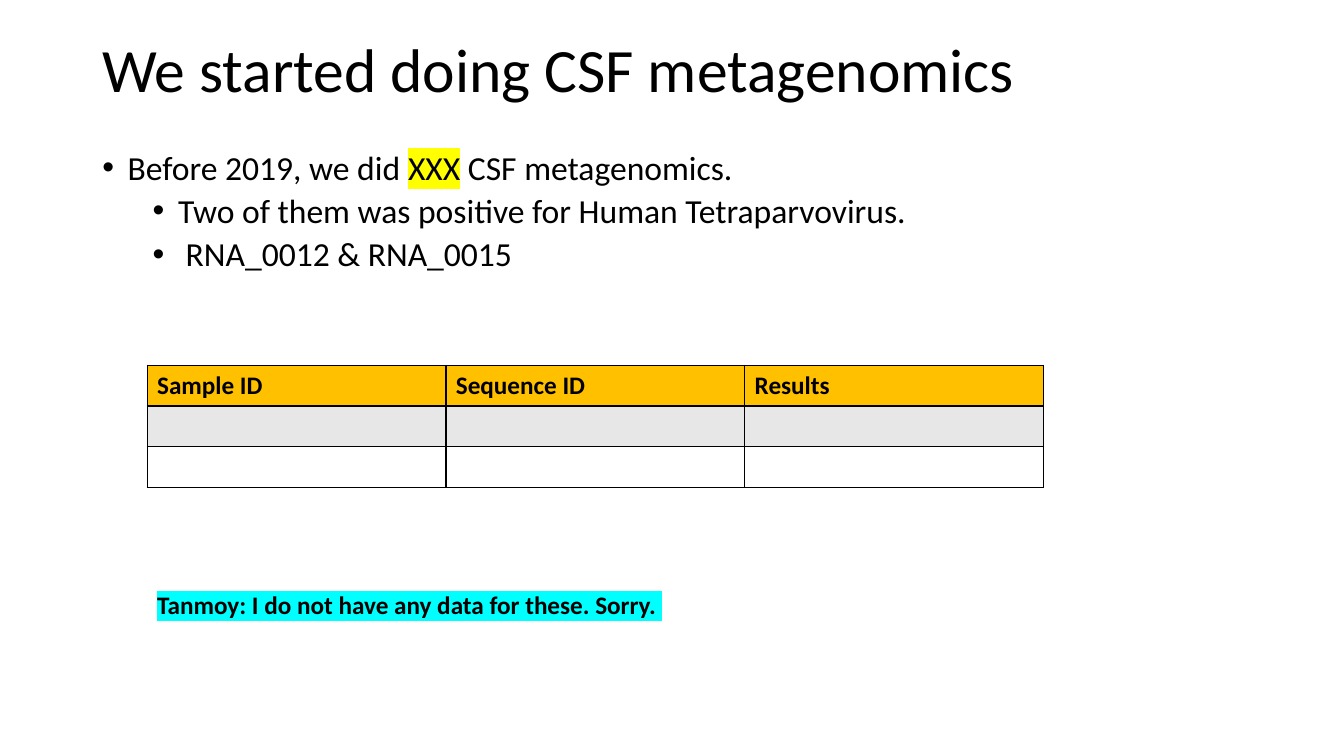
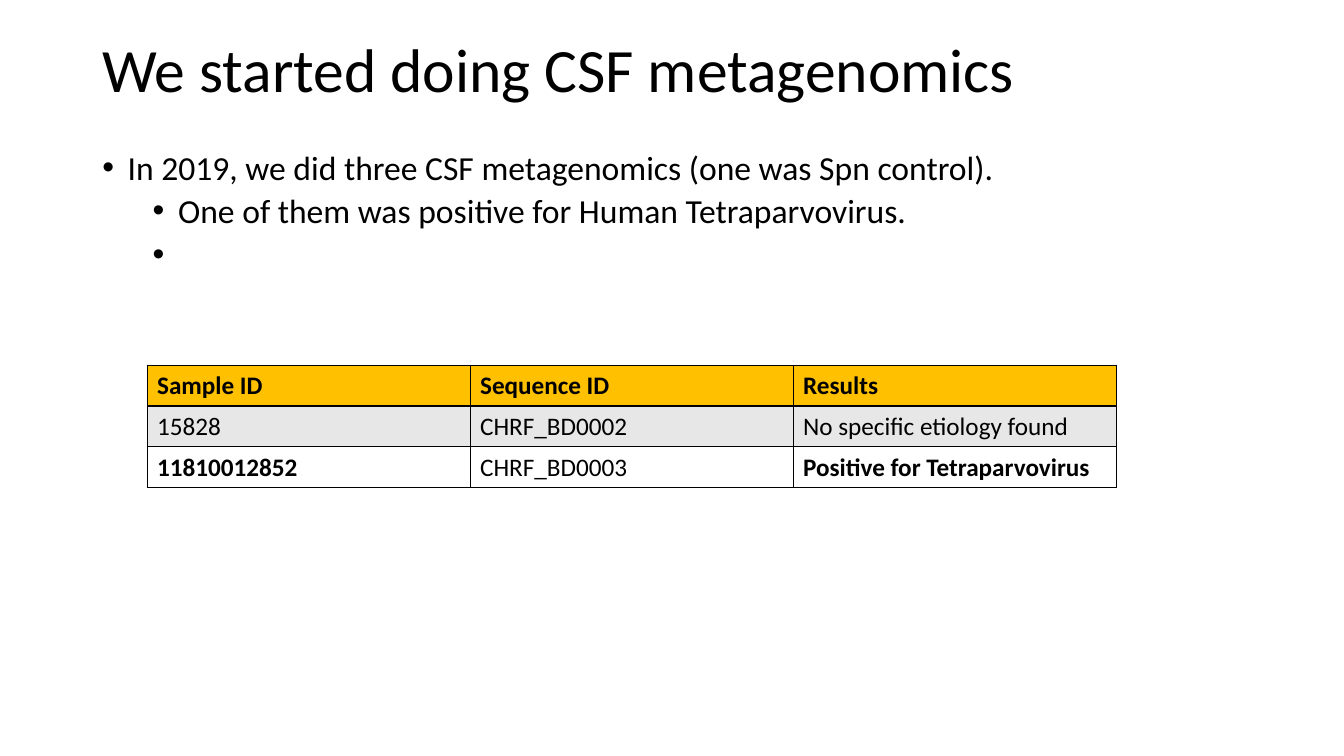
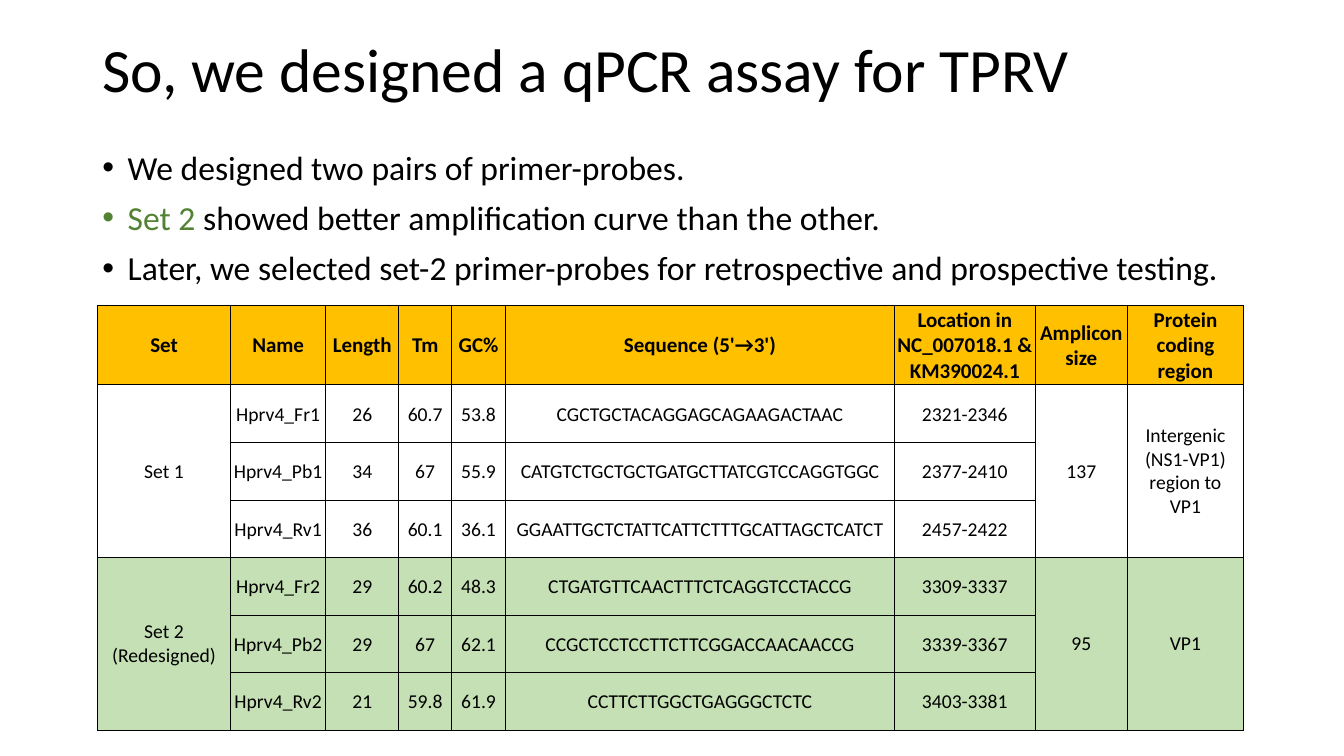
from lxml import etree
from pptx import Presentation
from pptx import util as u
from pptx.dml.color import RGBColor
from pptx.enum import text as t
from pptx.oxml import ns

FONT, BLACK, WHITE = "Calibri", "000000", "FFFFFF"
AMBER, GREY, PALE_GREEN, GREEN = "FFC000", "E7E7E7", "C5E0B4", "548235"
YELLOW, CYAN = "FFFF00", "00FFFF"

TITLE_AREA = (2.33, 0, 29.21, 3.68)
BODY_AREA = (2.33, 3.68, 29.21, 13.9)
SAMPLE_LEFT, SAMPLE_TOP, SAMPLE_ROW = 3.71, 9.2, 1.03
DEFAULT_MARGINS = (0.25, 0.13, 0.25, 0.13)
TIGHT_MARGINS = (0.03, 0.03, 0.03, 0)
GROUP_MARGINS = (0.36, 0.18, 0.36, 0.18)

# Text is a list of (words, format) spans; a bullet is (level, spans).
SAMPLE_HEADER = ["Sample ID", "Sequence ID", "Results"]
SAMPLE_SLIDES = [
    {
        "title": "We started doing CSF metagenomics",
        "bullets": [
            (0, [("Before 2019, we did ", {}), ("XXX", {"highlight": YELLOW}),
                 (" CSF metagenomics.", {})]),
            (1, [("Two of them was positive for Human Tetraparvovirus.", {})]),
            (1, [(" RNA_0012 & RNA_0015", {})]),
        ],
        "column": 7.53,
        "samples": [["", "", ""], ["", "", ""]],
        "bold": [],
        "remark": "Tanmoy: I do not have any data for these. Sorry. ",
    },
    {
        "title": "We started doing CSF metagenomics",
        "bullets": [
            (0, [("In 2019, we did three CSF metagenomics (one was Spn control).", {})]),
            (1, [("One of them was positive for Human Tetraparvovirus.", {})]),
            (1, [(" ", {})]),
        ],
        "column": 8.14,
        "samples": [["15828", "CHRF_BD0002", "No specific etiology found"],
                    ["11810012852", "CHRF_BD0003", "Positive for Tetraparvovirus"]],
        "bold": ["11810012852", "Positive for Tetraparvovirus"],
        "remark": None,
    },
]

ASSAY_TITLE = "So, we designed a qPCR assay for TPRV"
ASSAY_BULLETS = [
    (0, [("We designed two pairs of primer-probes.", {})]),
    (0, [("Set 2", {"color": GREEN}),
         (" showed better amplification curve than the other.", {})]),
    (0, [("Later, we selected set-2 primer-probes for retrospective and "
          "prospective testing.", {})]),
]
PRIMER_COLUMNS = [
    ("Set", 3.35), ("Name", 2.4), ("Length", 1.84), ("Tm", 1.33), ("GC%", 1.36),
    ("Sequence (5'→3')", 9.8), ("Location in NC_007018.1 & KM390024.1", 3.55),
    ("Amplicon size", 2.32), ("Protein coding region", 2.93),
]
PRIMER_SETS = [
    ("Set 1", "137", "Intergenic (NS1-VP1) region to VP1", WHITE, [
        ["Hprv4_Fr1", "26", "60.7", "53.8", "CGCTGCTACAGGAGCAGAAGACTAAC", "2321-2346"],
        ["Hprv4_Pb1", "34", "67", "55.9", "CATGTCTGCTGCTGATGCTTATCGTCCAGGTGGC", "2377-2410"],
        ["Hprv4_Rv1", "36", "60.1", "36.1", "GGAATTGCTCTATTCATTCTTTGCATTAGCTCATCT", "2457-2422"],
    ]),
    ("Set 2 (Redesigned)", "95", "VP1", PALE_GREEN, [
        ["Hprv4_Fr2", "29", "60.2", "48.3", "CTGATGTTCAACTTTCTCAGGTCCTACCG", "3309-3337"],
        ["Hprv4_Pb2", "29", "67", "62.1", "CCGCTCCTCCTTCTTCGGACCAACAACCG", "3339-3367"],
        ["Hprv4_Rv2", "21", "59.8", "61.9", "CCTTCTTGGCTGAGGGCTCTC", "3403-3381"],
    ]),
]


def rgb(color):
    return RGBColor.from_string(color)


def add_xml(parent, tag, **attributes):
    return etree.SubElement(parent, ns.qn(tag), attributes)


def write(para, words, size=18, bold=False, color=BLACK, highlight=None):
    span = para.add_run()
    span.text = words
    font = span.font
    font.size, font.bold = u.Pt(size), bold
    font.color.rgb = rgb(color)
    if highlight:
        mark = add_xml(font._element, "a:highlight")
        add_xml(mark, "a:srgbClr", val=highlight)
    font.name = FONT


def add_box(slide, area, anchor=t.MSO_ANCHOR.TOP, wrap=True):
    frame = slide.shapes.add_textbox(*map(u.Cm, area)).text_frame
    frame.word_wrap, frame.vertical_anchor = wrap, anchor
    return frame


def set_bullet(para, level):
    para.level = level
    para.line_spacing = 0.9
    para.space_before = u.Pt(5 if level else 10)
    properties = para._p.get_or_add_pPr()
    properties.set("marL", str(u.Cm(0.64 + 1.27 * level)))
    properties.set("indent", str(-u.Cm(0.64)))
    add_xml(properties, "a:buFont", typeface="Arial")
    add_xml(properties, "a:buChar", char="•")


def add_slide(deck, title, bullets):
    """Add a blank slide with the shared title and bullet list."""
    slide = deck.slides.add_slide(deck.slide_layouts[6])
    heading = add_box(slide, TITLE_AREA, t.MSO_ANCHOR.MIDDLE).paragraphs[0]
    heading.line_spacing = 0.9
    write(heading, title, size=44)
    body = add_box(slide, BODY_AREA)
    for index, (level, spans) in enumerate(bullets):
        para = body.add_paragraph() if index else body.paragraphs[0]
        set_bullet(para, level)
        for words, style in spans:
            write(para, words, size=24, **style)
    return slide


def add_grid(slide, left, top, widths, heights):
    frame = slide.shapes.add_table(
        len(heights), len(widths), u.Cm(left), u.Cm(top),
        u.Cm(sum(widths)), u.Cm(sum(heights)))
    table = frame.table
    table.horz_banding = False
    for column, width in zip(table.columns, widths):
        column.width = u.Cm(width)
    for row, height in zip(table.rows, heights):
        row.height = u.Cm(height)
    return table


def fill_cell(cell, words, fill, border=1, margins=DEFAULT_MARGINS,
              anchor=t.MSO_ANCHOR.TOP, align=t.PP_ALIGN.LEFT, **style):
    (cell.margin_left, cell.margin_top,
     cell.margin_right, cell.margin_bottom) = map(u.Cm, margins)
    cell.vertical_anchor = anchor
    properties = cell._tc.get_or_add_tcPr()
    for side in ("a:lnL", "a:lnR", "a:lnT", "a:lnB"):
        line = add_xml(properties, side, w=str(u.Pt(border)))
        add_xml(add_xml(line, "a:solidFill"), "a:srgbClr", val=BLACK)
    cell.fill.solid()
    cell.fill.fore_color.rgb = rgb(fill)
    para = cell.text_frame.paragraphs[0]
    para.alignment = align
    if words:
        write(para, words, **style)


def add_sample_table(slide, column, samples, bold):
    rows = [SAMPLE_HEADER] + samples
    table = add_grid(slide, SAMPLE_LEFT, SAMPLE_TOP,
                     [column] * len(SAMPLE_HEADER), [SAMPLE_ROW] * len(rows))
    for r, (row, fill) in enumerate(zip(rows, (AMBER, GREY, WHITE))):
        for c, words in enumerate(row):
            fill_cell(table.cell(r, c), words, fill, bold=r == 0 or words in bold)


def add_primer_table(slide):
    primer_count = sum(len(primers) for *_, primers in PRIMER_SETS)
    table = add_grid(slide, 2.46, 7.7, [width for _, width in PRIMER_COLUMNS],
                     [2] + [1.45] * primer_count)
    centred = {"border": 0.75, "anchor": t.MSO_ANCHOR.MIDDLE,
               "align": t.PP_ALIGN.CENTER}
    for c, (name, _) in enumerate(PRIMER_COLUMNS):
        fill_cell(table.cell(0, c), name, AMBER, margins=TIGHT_MARGINS,
                  size=15, bold=True, **centred)
    first = 1
    for name, amplicon, region, fill, primers in PRIMER_SETS:
        last = first + len(primers) - 1
        shared = {0: name, 7: amplicon, 8: region}
        for r, primer in enumerate(primers, first):
            for c in range(len(PRIMER_COLUMNS)):
                if c in shared:
                    words, margins = shared[c] if r == first else "", GROUP_MARGINS
                else:
                    words, margins = primer[c - 1], TIGHT_MARGINS
                fill_cell(table.cell(r, c), words, fill, margins=margins,
                          size=14, **centred)
        for c in shared:
            table.cell(first, c).merge(table.cell(last, c))
        first = last + 1


def main():
    deck = Presentation()
    deck.slide_width, deck.slide_height = u.Cm(33.87), u.Cm(19.05)
    for content in SAMPLE_SLIDES:
        slide = add_slide(deck, content["title"], content["bullets"])
        add_sample_table(slide, content["column"], content["samples"], content["bold"])
        if content["remark"]:
            remark = add_box(slide, (SAMPLE_LEFT, 14.73, 13.34, 1.03), wrap=False)
            write(remark.paragraphs[0], content["remark"], bold=True, highlight=CYAN)
    add_primer_table(add_slide(deck, ASSAY_TITLE, ASSAY_BULLETS))
    deck.save("out.pptx")


if __name__ == "__main__":
    main()
